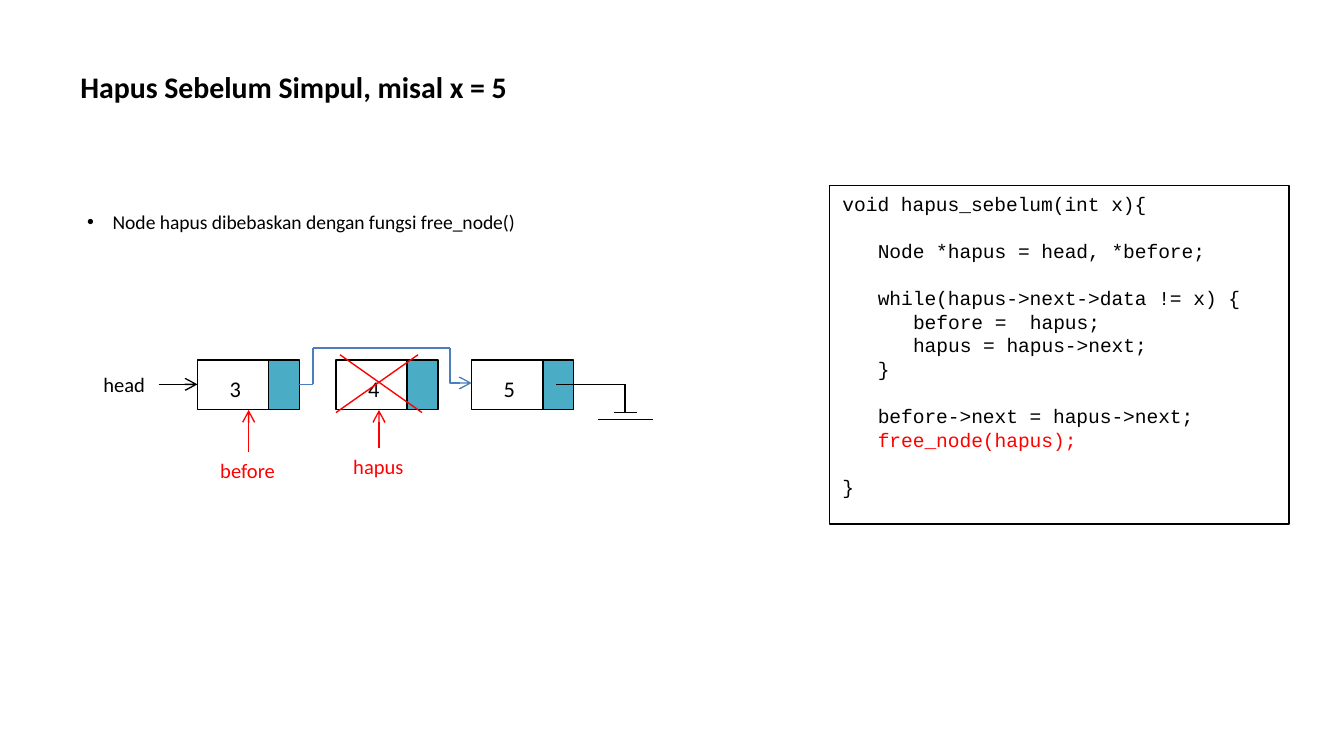
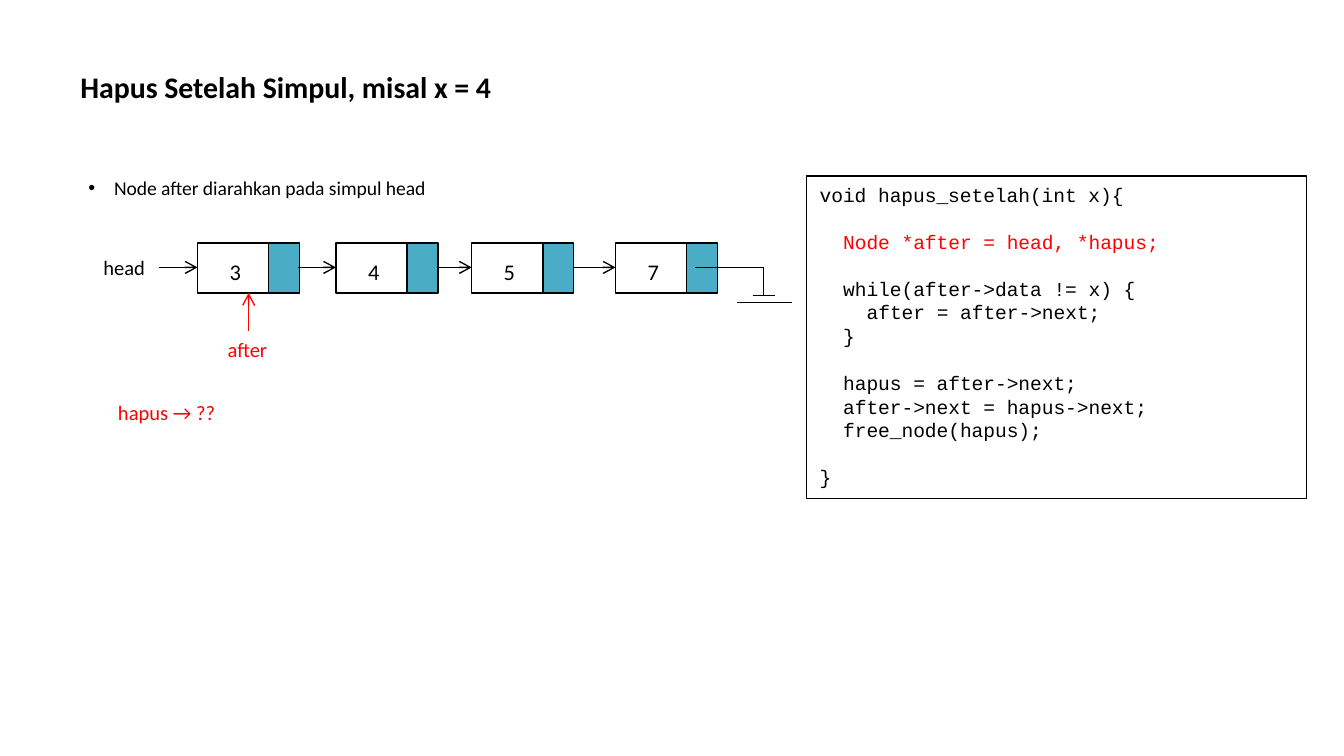
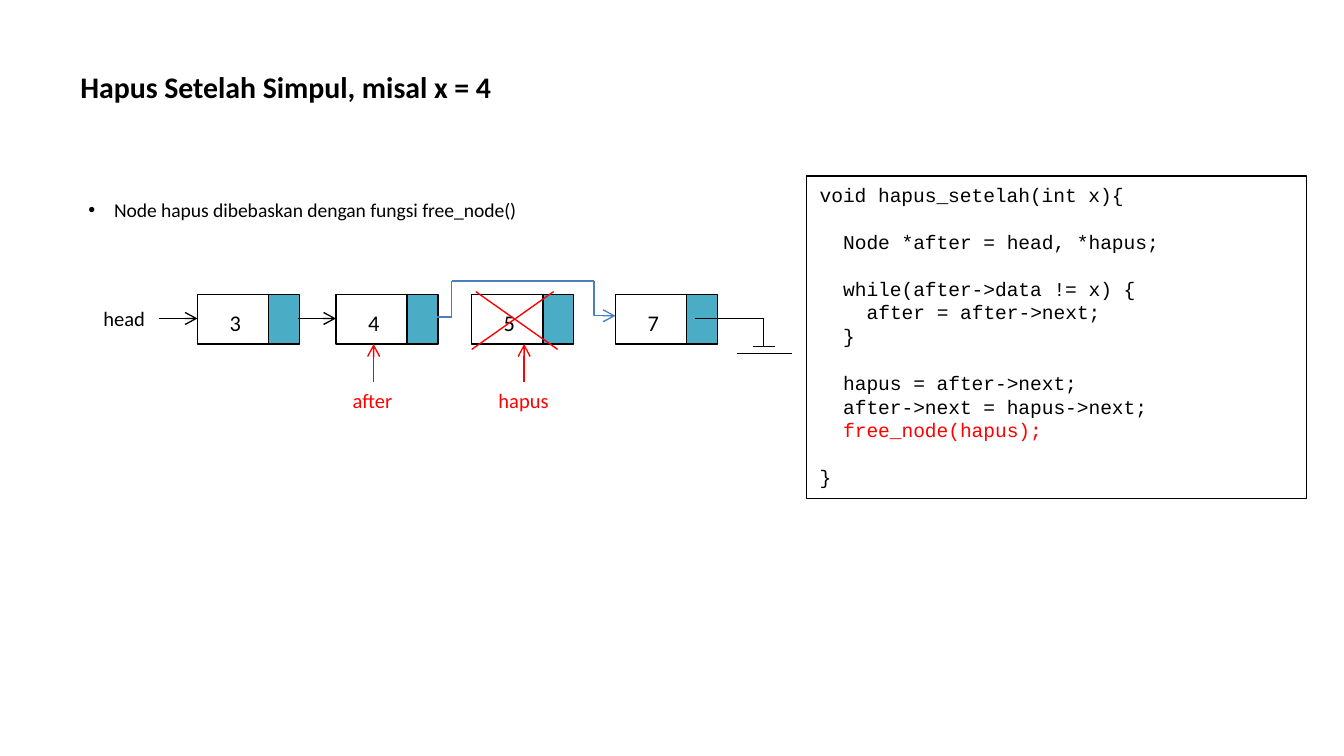
from lxml import etree
from pptx import Presentation
from pptx.dml.color import RGBColor
from pptx.enum.shapes import MSO_CONNECTOR, MSO_SHAPE
from pptx.enum.text import MSO_ANCHOR, MSO_AUTO_SIZE, PP_ALIGN
from pptx.oxml.ns import qn
from pptx.util import Inches, Pt

BLACK = RGBColor(0x00, 0x00, 0x00)
RED = RGBColor(0xFF, 0x00, 0x00)
TEAL = RGBColor(0x4B, 0xAC, 0xC6)
BLUE = RGBColor(0x4B, 0x7E, 0xBC)

RECT = MSO_SHAPE.RECTANGLE
STRAIGHT = MSO_CONNECTOR.STRAIGHT
ELBOW = MSO_CONNECTOR.ELBOW
TOP = MSO_ANCHOR.TOP
MIDDLE = MSO_ANCHOR.MIDDLE
LEFT = PP_ALIGN.LEFT
GROW = MSO_AUTO_SIZE.SHAPE_TO_FIT_TEXT

SANS = "Calibri"
MONO = "Courier New"
CODE_SIZE = 10.5
CODE_LINE = 12.6
CODE_CHAR = 6.3

WIDTH = Inches(10)
HEIGHT = WIDTH * 9 // 16

NODE_X = [1.47, 2.5, 3.51, 4.58]
NODE_W = 0.75
NODE_H = 0.37
MID = 0.18

BEFORE_CODE = """void hapus_sebelum(int x){

   Node *hapus = head, *before;

   while(hapus->next->data != x) {
      before =  hapus;
      hapus = hapus->next;
   }

   before->next = hapus->next;
   free_node(hapus);

}"""

AFTER_CODE = """void hapus_setelah(int x){

  Node *after = head, *hapus;

  while(after->data != x) {
    after = after->next;
  }

  hapus = after->next;
  after->next = hapus->next;
  free_node(hapus);

}"""


def put(para, text, size=11, font=SANS, color=BLACK, bold=False):
    run = para.add_run()
    run.text = text
    run.font.size = Pt(size)
    run.font.name = font
    run.font.color.rgb = color
    run.font.bold = bold


def label(shapes, box, text, wrap=True, grow=True, **style):
    item = shapes.add_textbox(*map(Inches, box))
    frame = item.text_frame
    frame.word_wrap = wrap
    if grow:
        frame.auto_size = GROW
    else:
        frame.vertical_anchor = MIDDLE
    put(frame.paragraphs[0], text, **style)
    return frame.paragraphs[0]


def bullet(shapes, box, text):
    para = label(shapes, box, text, grow=False, size=10.5)
    props = para._p.get_or_add_pPr()
    props.set("marL", str(Inches(0.19)))
    props.set("indent", str(-Inches(0.19)))
    etree.SubElement(props, qn("a:buFont")).set("typeface", "Arial")
    etree.SubElement(props, qn("a:buChar")).set("char", "•")


def rect(shapes, box, fill=None):
    item = shapes.add_shape(RECT, *map(Inches, box))
    item.shadow.inherit = False
    item.line.color.rgb = BLACK
    item.line.width = Pt(0.75)
    if fill is None:
        item.fill.background()
    else:
        item.fill.solid()
        item.fill.fore_color.rgb = fill
    return item


def line(shapes, start, end, color=BLACK, arrow=False, kind=STRAIGHT):
    item = shapes.add_connector(kind, *map(Inches, start + end))
    item.line.color.rgb = color
    item.line.width = Pt(0.75)
    if arrow:
        tail = etree.SubElement(item.line._get_or_add_ln(), qn("a:tailEnd"))
        tail.set("type", "arrow")
    etree.SubElement(item._element.spPr, qn("a:effectLst"))
    return item


def code(shapes, box, text, mark):
    frame = rect(shapes, box).text_frame
    frame.word_wrap = True
    frame.vertical_anchor = TOP
    para = frame.paragraphs[0]
    gap = 0
    for num, row in enumerate(text.split("\n")):
        words = row.strip()
        if not words:
            gap += CODE_LINE
            continue
        if num:
            para = frame.add_paragraph()
        para.alignment = LEFT
        para.line_spacing = Pt(CODE_LINE)
        para.space_before = Pt(gap)
        depth = len(row) - len(words)
        para._p.get_or_add_pPr().set("marL", str(Pt(depth * CODE_CHAR)))
        put(para, words, size=CODE_SIZE, font=MONO,
            color=RED if words == mark else BLACK)
        gap = 0


def node(shapes, x, y, value):
    group = shapes.add_group_shape().shapes
    rect(group, (x, y, NODE_W, NODE_H))
    rect(group, (x + 0.53, y, 0.23, NODE_H), TEAL)
    label(group, (x + 0.14, y + 0.06, 0.26, 0.27), value, size=12)


def ground(shapes, x, y):
    group = shapes.add_group_shape().shapes
    mid, low, base = y + MID, y + 0.39, y + 0.44
    line(group, (x - 0.51, mid), (x, mid))
    line(group, (x, mid), (x, low))
    line(group, (x - 0.08, low), (x + 0.09, low))
    line(group, (x - 0.2, base), (x + 0.21, base))


def chain(shapes, y, values, links, end):
    label(shapes, (0.67, y + 0.04, 0.51, 0.29), "head", wrap=False)
    mid = y + MID
    line(shapes, (1.18, mid), (NODE_X[0], mid), arrow=True)
    for x, value in zip(NODE_X, values):
        node(shapes, x, y, value)
    for num in range(links):
        line(shapes, (NODE_X[num] + NODE_W, mid), (NODE_X[num + 1], mid),
             arrow=True)
    ground(shapes, end, y)


def pointer(shapes, x, y, text, width, drop=0.65):
    line(shapes, (x, y + drop), (x, y + NODE_H), RED, arrow=True)
    label(shapes, (x - width / 2, y + drop, width, 0.29), text,
          wrap=False, color=RED)


def detour(shapes, first, last, y):
    group = shapes.add_group_shape().shapes
    left, right = first + NODE_W, last
    rise, fall = left + 0.11, right - 0.16
    top, mid = y - 0.09, y + MID
    bend = line(group, (fall + 0.21, top + 0.05), (fall - 0.05, top + 0.21),
                BLUE, arrow=True, kind=ELBOW)
    props = bend._element.spPr
    props.find(qn("a:xfrm")).set("rot", "16200000")
    props.find(qn("a:prstGeom")).set("prst", "bentConnector2")
    line(group, (fall, top), (rise, top), BLUE)
    line(group, (rise, top), (rise, mid), BLUE)
    line(group, (rise, mid), (left, mid), BLUE)


def cross(shapes, x, y):
    group = shapes.add_group_shape().shapes
    high, low = y - 0.04, y + 0.39
    line(group, (x + 0.03, high), (x + 0.64, low), RED)
    line(group, (x + 0.61, high), (x, low), RED)


def page(deck, title, box, text, mark):
    shapes = deck.slides.add_slide(deck.slide_layouts[6]).shapes
    label(shapes, (0.5, 0.23, 4.36, 0.83), title, grow=False, size=16,
          bold=True)
    code(shapes, box, text, mark)
    return shapes


def before(deck):
    y = 2.68
    shapes = page(deck, "Hapus Sebelum Simpul, misal x = 5",
                  (6.17, 1.38, 3.42, 2.52), BEFORE_CODE, "free_node(hapus);")
    bullet(shapes, (0.55, 1.15, 4.78, 1),
           "Node hapus dibebaskan dengan fungsi free_node()")
    chain(shapes, y, "345", 0, 4.65)
    pointer(shapes, 1.85, y, "before", 0.62, drop=0.68)
    pointer(shapes, 2.82, y, "hapus", 0.58)
    detour(shapes, NODE_X[0], NODE_X[2], y)
    cross(shapes, NODE_X[1], y)


def after(deck, mark):
    return page(deck, "Hapus Setelah Simpul, misal x = 4",
                (6, 1.31, 3.72, 2.4), AFTER_CODE, mark)


def start(deck):
    y = 1.81
    shapes = after(deck, "Node *after = head, *hapus;")
    bullet(shapes, (0.56, 0.98, 3.09, 0.83),
           "Node after diarahkan pada simpul head")
    chain(shapes, y, "3457", 3, 5.68)
    pointer(shapes, 1.85, y, "after", 0.51)
    label(shapes, (0.78, 2.93, 0.94, 0.29), "hapus → ??", wrap=False,
          color=RED)


def finish(deck):
    y = 2.19
    shapes = after(deck, "free_node(hapus);")
    bullet(shapes, (0.56, 1.06, 5.19, 1),
           "Node hapus dibebaskan dengan fungsi free_node()")
    chain(shapes, y, "3457", 1, 5.68)
    pointer(shapes, 2.78, y, "after", 0.51)
    pointer(shapes, 3.9, y, "hapus", 0.58)
    detour(shapes, NODE_X[1], NODE_X[3], y - 0.01)
    cross(shapes, NODE_X[2], y + 0.02)


def main():
    deck = Presentation()
    deck.slide_width = WIDTH
    deck.slide_height = HEIGHT
    before(deck)
    start(deck)
    finish(deck)
    deck.save("out.pptx")


main()
